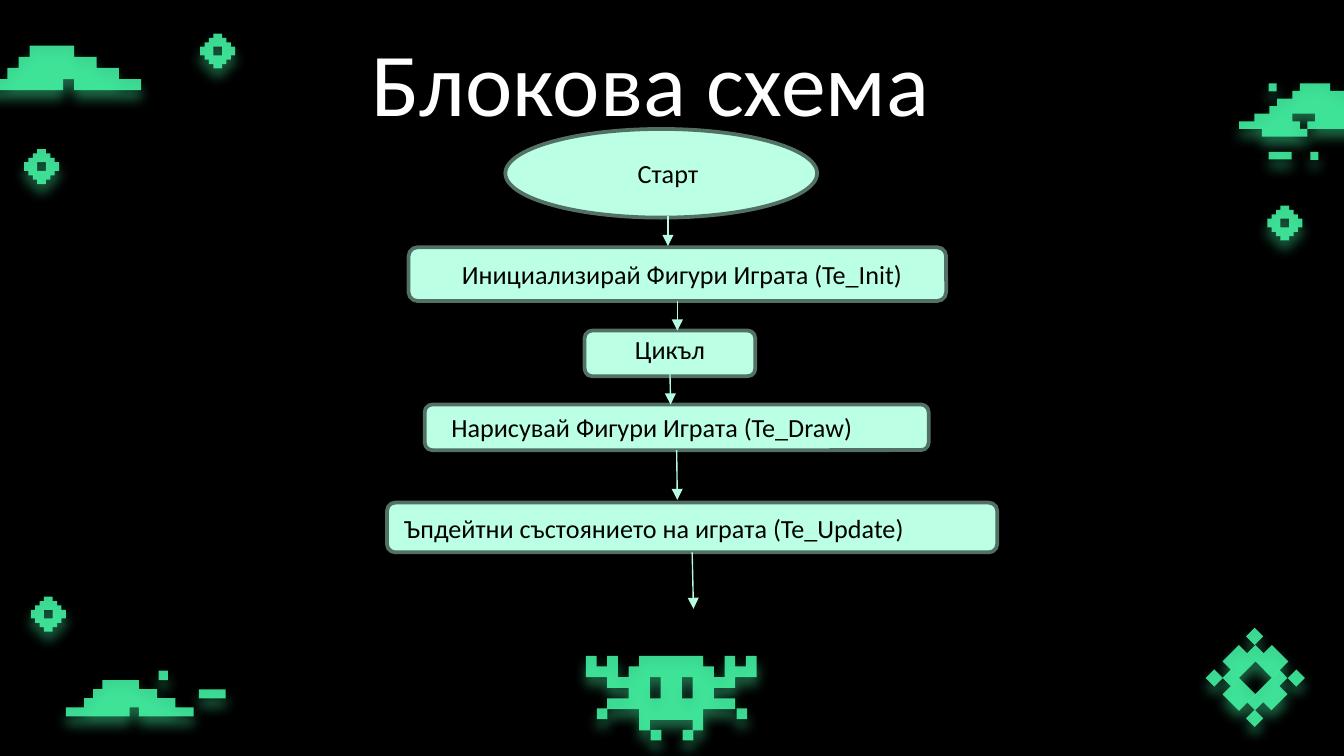
from lxml import etree
from pptx import Presentation
from pptx import util as u
from pptx.dml.color import RGBColor
from pptx.enum import shapes, text
from pptx.oxml import parse_xml
from pptx.oxml.ns import nsdecls, qn

COLORS = {"night": "000000", "neon": "44F6A5", "mint": "BBFFE4",
          "rim": "527064", "arrow": "B5FBDF", "title": "FFFFFF"}
RGB = {name: RGBColor.from_string(value) for name, value in COLORS.items()}

GEM = [[(3, 0), (2, 1), (1, 2), (0, 3), (1, 5), (2, 6), (3, 7), (5, 8), (6, 7),
        (7, 6), (8, 5), (7, 3), (6, 2), (5, 1)], [(3, 3), (5, 5)]]
HILL = [[(4, 0), (3, 1), (2, 2), (0, 3), (7, 4), (8, 3), (14, 4), (12, 3),
         (10, 2), (8, 1)]]
CLOUD = [[(8, 0), (7, 1), (5, 2), (4, 3), (2, 4), (0, 5), (3, 6), (9, 7), (8, 6),
          (7, 5), (10, 4), (9, 5), (23, 6), (21, 5), (18, 4), (16, 3), (14, 2),
          (12, 1)]]
RING_TOP = [[(2, 0), (1, 1), (0, 2), (2, 4), (4, 2), (6, 4), (5, 2), (4, 1)]]
RING_BOTTOM = [[(0, 0), (1, 1), (3, 2), (4, 1)]]
CREATURE = [[(0, 0), (2, 2), (4, 3), (2, 4), (5, 5), (6, 7), (10, 6), (11, 7),
             (14, 5), (12, 4), (14, 3), (16, 2), (15, 0), (14, 1), (13, 0),
             (12, 2), (11, 1), (5, 0), (4, 1), (3, 2), (2, 0), (1, 1)],
            [(6, 2), (7, 4)], [(9, 2), (10, 4)]]
DOT = [[(0, 0), (1, 1)]]
DASH = [[(0, 0), (3, 1)]]

prs = Presentation()
prs.slide_width = u.Inches(10)
prs.slide_height = prs.slide_width * 9 // 16
slide = prs.slides.add_slide(prs.slide_layouts[5])
slide.background.fill.solid()
slide.background.fill.fore_color.rgb = RGB["night"]


def draw_pixels(outlines, left, top, width, angle=0):
    cell = u.Inches(width) / max(x for x, y in outlines[0])
    builder = None
    for steps in outlines:
        corners = []
        for (x, y), (next_x, next_y) in zip(steps, steps[1:] + steps[:1]):
            corners += [(x, y), (x, next_y)]
        if builder is None:
            builder = slide.shapes.build_freeform(*corners[0], scale=cell)
        else:
            builder.move_to(*corners[0])
        builder.add_line_segments(corners[1:], close=True)
    sprite = builder.convert_to_shape(u.Inches(left), u.Inches(top))
    sprite.rotation = angle
    sprite.fill.solid()
    sprite.fill.fore_color.rgb = RGB["neon"]
    sprite.line.fill.background()
    color = sprite.fill._xPr.find(qn("a:solidFill"))[0]
    etree.SubElement(color, qn("a:alpha"), val="87000")
    sprite._element.spPr.append(parse_xml(
        f'<a:effectLst {nsdecls("a")}><a:outerShdw blurRad="86360" dist="57150" '
        f'dir="5400000" algn="bl" rotWithShape="0"><a:srgbClr val="{COLORS["neon"]}">'
        '<a:alpha val="50000"/></a:srgbClr></a:outerShdw></a:effectLst>'))


def write(frame, words, size=14, color="night", align=text.PP_ALIGN.CENTER):
    frame.word_wrap = True
    paragraph = frame.paragraphs[0]
    paragraph.alignment = align
    run = paragraph.add_run()
    run.text = words
    run.font.size = u.Pt(size)
    run.font.name = "Calibri"
    run.font.color.rgb = RGB[color]
    return paragraph


for left, top in [(0.23, 4.44), (9.43, 1.53), (0.18, 1.11), (1.49, 0.25)]:
    draw_pixels(GEM, left, top, 0.26)
for outlines, left, top, width in [
    (HILL, -0.11, 0.34, 1.16), (HILL, 0.49, 5.06, 0.95),
    (DOT, 1.18, 4.99, 0.07), (DASH, 1.48, 5.13, 0.2),
    (CLOUD, 9.22, 0.62, 1.3), (DOT, 9.75, 1.13, 0.06),
    (DOT, 9.44, 0.62, 0.06), (DASH, 9.44, 1.13, 0.17),
]:
    draw_pixels(outlines, left, top, width)
for outlines, left, top, width in [
    (RING_TOP, 9.02, 4.81, 0.52), (RING_BOTTOM, 9.29, 5.08, 0.34),
    (DOT, 8.99, 5, 0.09), (DOT, 9.29, 4.69, 0.09),
    (DOT, 9.29, 5.3, 0.09), (DOT, 9.6, 5, 0.09),
]:
    draw_pixels(outlines, left, top, width, angle=315)
for left, top in [(4.84, 5.43), (4.44, 5.27), (5.48, 5.27), (5.08, 5.43)]:
    draw_pixels(DOT, left, top, 0.08)
draw_pixels(CREATURE, 4.36, 4.88, 1.27)

title = slide.shapes.title
title.left, title.top = u.Inches(1.03), u.Inches(-0.02)
title.width, title.height = u.Inches(7.62), u.Inches(1.02)
heading = title.text_frame
heading.auto_size = text.MSO_AUTO_SIZE.NONE
heading.vertical_anchor = text.MSO_ANCHOR.TOP
heading.margin_left = heading.margin_right = u.Inches(0.1)
heading.margin_top = heading.margin_bottom = u.Inches(0.1)
headline = write(heading, "Блокова схема", size=48, color="title")
headline.line_spacing = 1.15
headline.space_after = u.Pt(10)

OVAL, BOX = shapes.MSO_SHAPE.OVAL, shapes.MSO_SHAPE.ROUNDED_RECTANGLE
CENTER, LEFT = text.PP_ALIGN.CENTER, text.PP_ALIGN.LEFT
steps = [
    (OVAL, (3.76, 0.96, 2.32, 0.66), "Старт", (3.99, 1.12, 1.96), CENTER),
    (BOX, (3.04, 1.84, 4, 0.4), "Инициализирай Фигури Играта (Te_Init)",
     (3.12, 1.87, 3.91), CENTER),
    (BOX, (4.35, 2.46, 1.27, 0.34), "Цикъл", (4.43, 2.43, 1.11), CENTER),
    (BOX, (3.16, 3.01, 3.75, 0.34), "Нарисувай Фигури Играта (Te_Draw)",
     (3.26, 3.01, 3.54), LEFT),
    (BOX, (2.88, 3.74, 4.54, 0.37), "Ъпдейтни състоянието на играта (Te_Update)",
     (2.91, 3.76, 4.38), LEFT),
]
nodes, labels = [], []
for kind, bounds, words, (left, top, width), align in steps:
    node = slide.shapes.add_shape(kind, *map(u.Inches, bounds))
    node.shadow.inherit = False
    node.fill.solid()
    node.fill.fore_color.rgb = RGB["mint"]
    node.line.color.rgb = RGB["rim"]
    node.line.width = u.Pt(2)
    nodes.append(node)
    label = slide.shapes.add_textbox(
        u.Inches(left), u.Inches(top), u.Inches(width), u.Inches(0.34))
    write(label.text_frame, words, align=align)
    label.text_frame.auto_size = text.MSO_AUTO_SIZE.SHAPE_TO_FIT_TEXT
    labels.append(label)

start, init, cycle, draw, update = nodes
for ends, source in [
    ((4.97, 1.61, 4.97, 1.83), None), ((5.04, 2.24, 5.04, 2.46), init),
    ((4.99, 2.76, 4.99, 3.01), labels[2]), ((5.04, 3.35, 5.04, 3.72), draw),
    ((5.15, 4.11, 5.16, 4.53), update),
]:
    arrow = slide.shapes.add_connector(
        shapes.MSO_CONNECTOR.STRAIGHT, *map(u.Inches, ends))
    if source is not None:
        arrow.begin_connect(source, 2)
    arrow.line.color.rgb = RGB["arrow"]
    arrow.line.width = u.Pt(0.75)
    etree.SubElement(arrow.line._get_or_add_ln(), qn("a:tailEnd"), type="triangle")
    etree.SubElement(arrow._element.spPr, qn("a:effectLst"))

prs.save("out.pptx")
